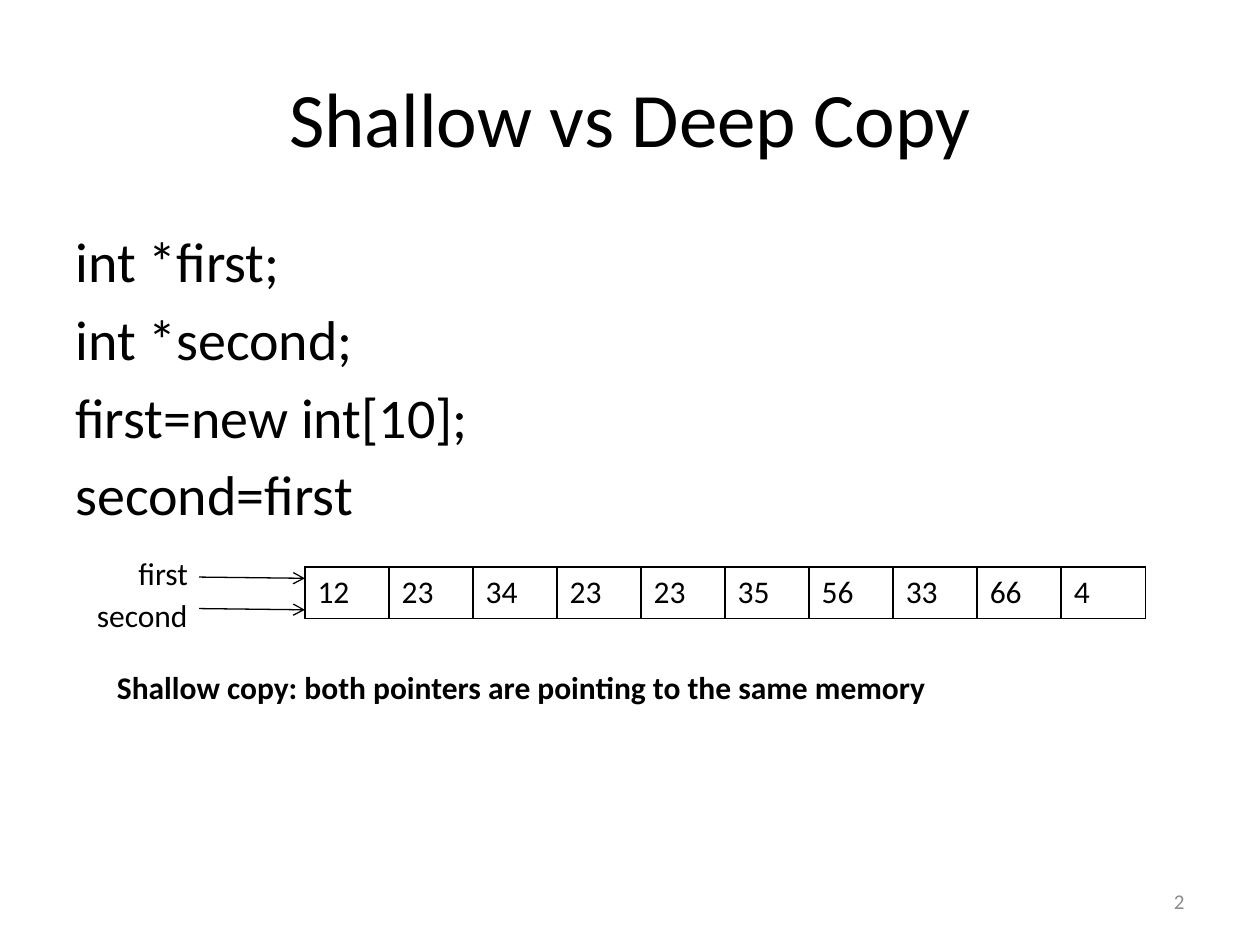
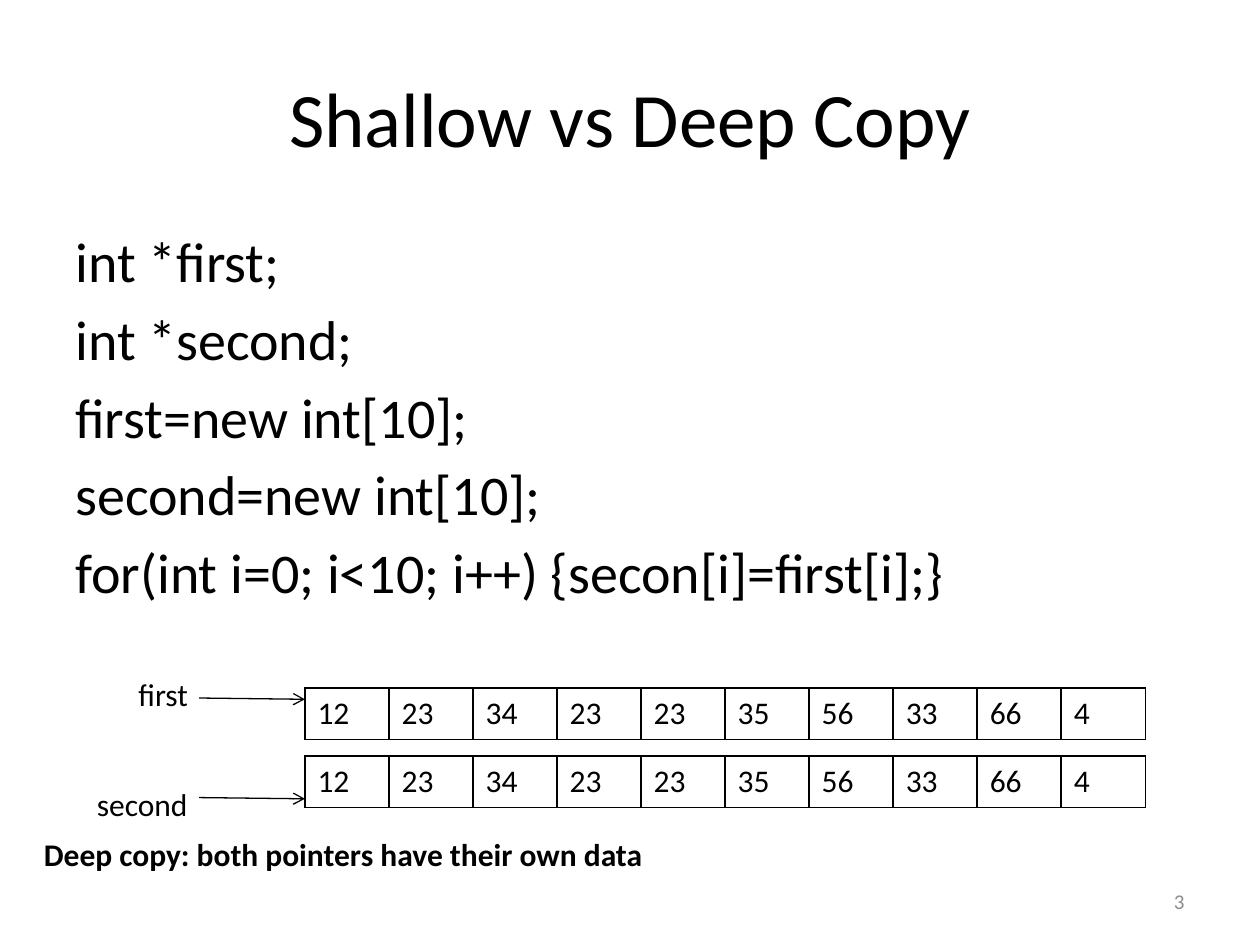
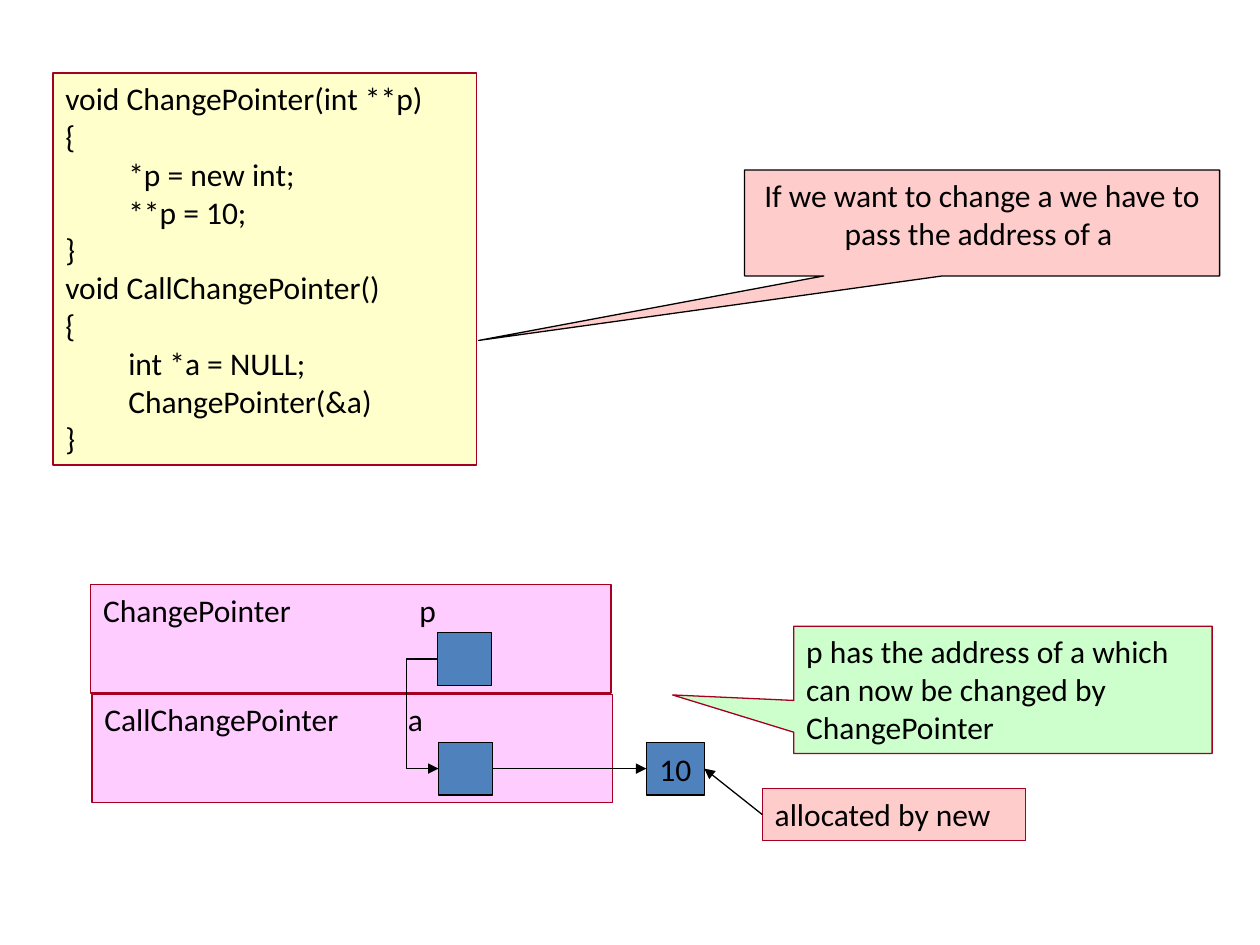
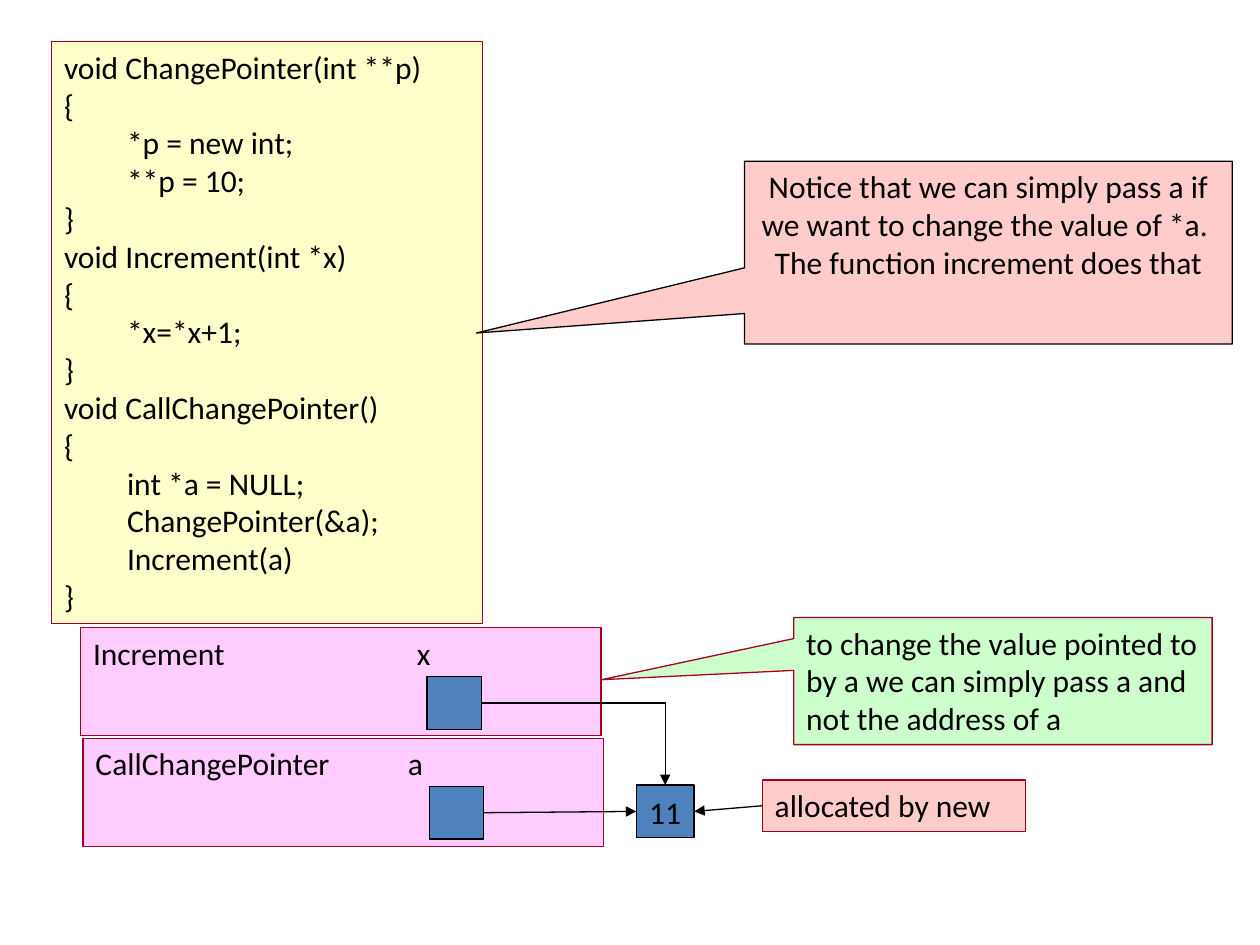
from dataclasses import dataclass

from lxml.etree import SubElement
from pptx import Presentation
from pptx.dml.color import RGBColor as Rgb
from pptx.enum.shapes import MSO_CONNECTOR as Link, MSO_SHAPE as Preset
from pptx.enum.text import MSO_ANCHOR as Anchor, MSO_AUTO_SIZE as Fit, PP_ALIGN as Align
from pptx.oxml.ns import qn
from pptx.util import Pt

PX = 9144  # 100 px to the inch


@dataclass(frozen=True)
class Theme:
    font: str = "Calibri"
    ink: str = "000000"
    muted: str = "8C8C8C"
    crimson: str = "A50021"
    code: str = "FFFFCC"
    rose: str = "FFCCCC"
    frame: str = "FFCCFF"
    mint: str = "CCFFCC"
    memory: str = "4F81BD"
    title_pt: int = 44
    body_pt: int = 32
    text_pt: int = 18
    number_pt: int = 12
    line_pt: float = 0.75
    border_pt: int = 1


THEME = Theme()


def write(frame, lines, size=THEME.text_pt, color=THEME.ink, bold=False,
          align=Align.LEFT, anchor=Anchor.TOP, wrap=True):
    frame.word_wrap = wrap
    frame.vertical_anchor = anchor
    for index, line in enumerate(lines):
        paragraph = frame.add_paragraph() if index else frame.paragraphs[0]
        paragraph.alignment = align
        run = paragraph.add_run()
        run.text = line
        run.font.name = THEME.font
        run.font.size = Pt(size)
        run.font.bold = bold
        run.font.color.rgb = Rgb.from_string(color)


def add_box(slide, place, fill, line, lines=(), preset=Preset.RECTANGLE, grow=False, **style):
    box = slide.shapes.add_shape(preset, *(n * PX for n in place))
    box.shadow.inherit = False
    box.fill.solid()
    box.fill.fore_color.rgb = Rgb.from_string(fill)
    box.line.color.rgb = Rgb.from_string(line)
    box.line.width = Pt(THEME.line_pt)
    write(box.text_frame, lines, **style)
    if grow:
        box.text_frame.auto_size = Fit.SHAPE_TO_FIT_TEXT
    return box


deck = Presentation()
deck.slide_width, deck.slide_height = 1000 * PX, 750 * PX
title_only, blank = deck.slide_layouts[5], deck.slide_layouts[6]
arrows = []  # (connector, head), styled together at the end

# Shallow and deep copy: code, arrays, pointers, conclusion
values = ["12", "23", "34", "23", "23", "35", "56", "33", "66", "4"]
declarations = ["int *first;", "int *second;", "first=new int[10];"]
copy_slides = [
    dict(number="2", code=declarations + ["second=first"], arrays=[450],
         pointers=[("first", 100, 435, 458), ("second", 67, 468, 483)],
         verdict="Shallow copy: both pointers are pointing to the same memory",
         verdict_at=(83, 525, 808, 40)),
    dict(number="3",
         code=declarations + ["second=new int[10];",
                              "for(int i=0; i<10; i++) {secon[i]=first[i];}"],
         arrays=[546, 600],
         pointers=[("first", 100, 531, 554), ("second", 67, 618, 633)],
         verdict="Deep copy: both pointers have their own data",
         verdict_at=(25, 658, 608, 40)),
]
for content in copy_slides:
    slide = deck.slides.add_slide(title_only)
    title = slide.shapes.title
    title.left, title.top, title.width, title.height = (n * PX for n in (50, 30, 900, 125))
    write(title.text_frame, ["Shallow vs Deep Copy"], size=THEME.title_pt,
          align=Align.CENTER, anchor=Anchor.MIDDLE)

    # Code lines with a hanging indent
    code = slide.shapes.add_textbox(*(n * PX for n in (50, 175, 900, 495))).text_frame
    write(code, content["code"], size=THEME.body_pt)
    for statement in code.paragraphs:
        statement.space_before = Pt(6)
        hanging = statement._p.get_or_add_pPr()
        hanging.set("marL", str(38 * PX))
        hanging.set("indent", str(-38 * PX))

    number = slide.shapes.add_textbox(*(n * PX for n in (717, 695, 233, 40)))
    write(number.text_frame, [content["number"]], size=THEME.number_pt, color=THEME.muted,
          align=Align.RIGHT, anchor=Anchor.MIDDLE)

    # Arrays in memory
    for top in content["arrays"]:
        array = slide.shapes.add_table(1, len(values), 242 * PX, top * PX, 667 * PX, 41 * PX).table
        array.first_row = array.horz_banding = False
        for cell, value in zip(array.rows[0].cells, values):
            write(cell.text_frame, [value])
            borders = cell._tc.get_or_add_tcPr()
            for side in ("a:lnL", "a:lnR", "a:lnT", "a:lnB"):
                border = SubElement(borders, qn(side), w=str(Pt(THEME.border_pt)))
                SubElement(SubElement(border, qn("a:solidFill")), qn("a:srgbClr"), val=THEME.ink)
            cell.fill.background()

    # Pointers into the arrays
    for name, left, top, arrow_y in content["pointers"]:
        label = slide.shapes.add_textbox(left * PX, top * PX, 117 * PX, 40 * PX)
        write(label.text_frame, [name])
        pointer = slide.shapes.add_connector(
            Link.STRAIGHT, 158 * PX, arrow_y * PX, 242 * PX, (arrow_y + 1) * PX)
        arrows.append((pointer, "arrow"))

    verdict = slide.shapes.add_textbox(*(n * PX for n in content["verdict_at"]))
    write(verdict.text_frame, [content["verdict"]], bold=True)

# Pointers to pointers: code, remarks, stack frames and the allocated integer
change_pointer = ["void ChangePointer(int **p)", "{", "\t*p = new int;", "\t**p = 10;", "}"]
increment = ["void Increment(int *x)", "{", "\t*x=*x+1;", "}"]
caller = ["void CallChangePointer()", "{", "\tint *a = NULL;"]
stack_slides = [
    dict(code=change_pointer + caller + ["\tChangePointer(&a)", "}"],
         code_at=(42, 58, 336, 311),
         remark="If we want to change a we have to pass the address of a ",
         remark_at=(591, 135, 377, 84), remark_tip=(-1.06, 1.11),
         frames=[("CallChangePointer\ta", (73, 551, 413, 86), 241),
                 ("ChangePointer\tp", (72, 464, 413, 86), 251)],
         cells=[(348, 589), (347, 502)], value="10", value_at=(513, 589, 46, 42),
         note="p has the address of a which can now be changed by ChangePointer",
         note_top=497, note_tip=(-0.79, 0.04), by_address=True),
    dict(code=change_pointer + increment + caller + ["\tChangePointer(&a);", "\tIncrement(a)", "}"],
         code_at=(41, 33, 342, 462),
         remark="Notice that we can simply pass a if we want to change the value of *a.  "
                "The function increment does that",
         remark_at=(591, 128, 387, 145), remark_tip=(-1.05, 0.44),
         frames=[("CallChangePointer\ta", (66, 586, 413, 86), 248),
                 ("Increment\tx", (64, 498, 413, 86), 257)],
         cells=[(341, 624), (339, 537)], value="11", value_at=(505, 623, 46, 42),
         note="to change the value pointed to by a we can simply pass a and not the address of a",
         note_top=490, note_tip=(-0.96, -0.01), by_address=False),
]
for content in stack_slides:
    slide = deck.slides.add_slide(blank)
    add_box(slide, content["code_at"], THEME.code, THEME.crimson, content["code"],
            grow=True, wrap=False)
    remark = add_box(slide, content["remark_at"], THEME.rose, THEME.ink, [content["remark"]],
                     preset=Preset.RECTANGULAR_CALLOUT, align=Align.CENTER)
    remark.adjustments[0], remark.adjustments[1] = content["remark_tip"]

    # Stack frames, each variable name set at a tab stop
    for variables, place, tab in content["frames"]:
        stack_frame = add_box(slide, place, THEME.frame, THEME.crimson, [variables])
        layout = stack_frame.text_frame.paragraphs[0]._p.get_or_add_pPr()
        SubElement(SubElement(layout, qn("a:tabLst")), qn("a:tab"), pos=str(tab * PX), algn="l")

    # Memory cells and the allocated integer
    caller_cell, callee_cell = [add_box(slide, (left, top, 43, 42), THEME.memory, THEME.ink)
                                for left, top in content["cells"]]
    integer = add_box(slide, content["value_at"], THEME.memory, THEME.ink, [content["value"]],
                      align=Align.CENTER, anchor=Anchor.MIDDLE, wrap=False)

    # Remarks on the right
    note = add_box(slide, (630, content["note_top"], 332, 101), THEME.mint, THEME.crimson,
                   [content["note"]], preset=Preset.RECTANGULAR_CALLOUT, grow=True)
    note.adjustments[0], note.adjustments[1] = content["note_tip"]
    allocated = add_box(slide, (605, content["note_top"] + 129, 209, 41), THEME.rose,
                        THEME.crimson, ["allocated by new"], grow=True, wrap=False)

    # Links between cells: the callee holds the address of a, or the value of a
    by_address = content["by_address"]
    callee_link = ((Link.ELBOW, callee_cell, 1, caller_cell, 1) if by_address
                   else (Link.ELBOW, callee_cell, 3, integer, 0))
    for kind, source, source_side, target, target_side in [
            callee_link,
            (Link.STRAIGHT, caller_cell, 3, integer, 1),
            (Link.STRAIGHT, allocated, 1, integer, 3)]:
        link = slide.shapes.add_connector(kind, 0, 0, 0, 0)
        link.begin_connect(source, source_side)
        link.end_connect(target, target_side)
        arrows.append((link, "triangle"))
        if kind == Link.ELBOW:
            bend = link._element.spPr.find(qn("a:prstGeom"))
            if by_address:  # the bend lies 25 px left of cells that are 1 px apart
                SubElement(bend.find(qn("a:avLst")), qn("a:gd"), name="adj1", fmla="val -2500000")
            else:
                bend.set("prst", "bentConnector2")

# Arrow style
for arrow, head in arrows:
    arrow.line.color.rgb = Rgb.from_string(THEME.ink)
    arrow.line.width = Pt(THEME.line_pt)
    SubElement(arrow.line._get_or_add_ln(), qn("a:tailEnd"), type=head)
    SubElement(arrow._element.spPr, qn("a:effectLst"))

deck.save("out.pptx")
